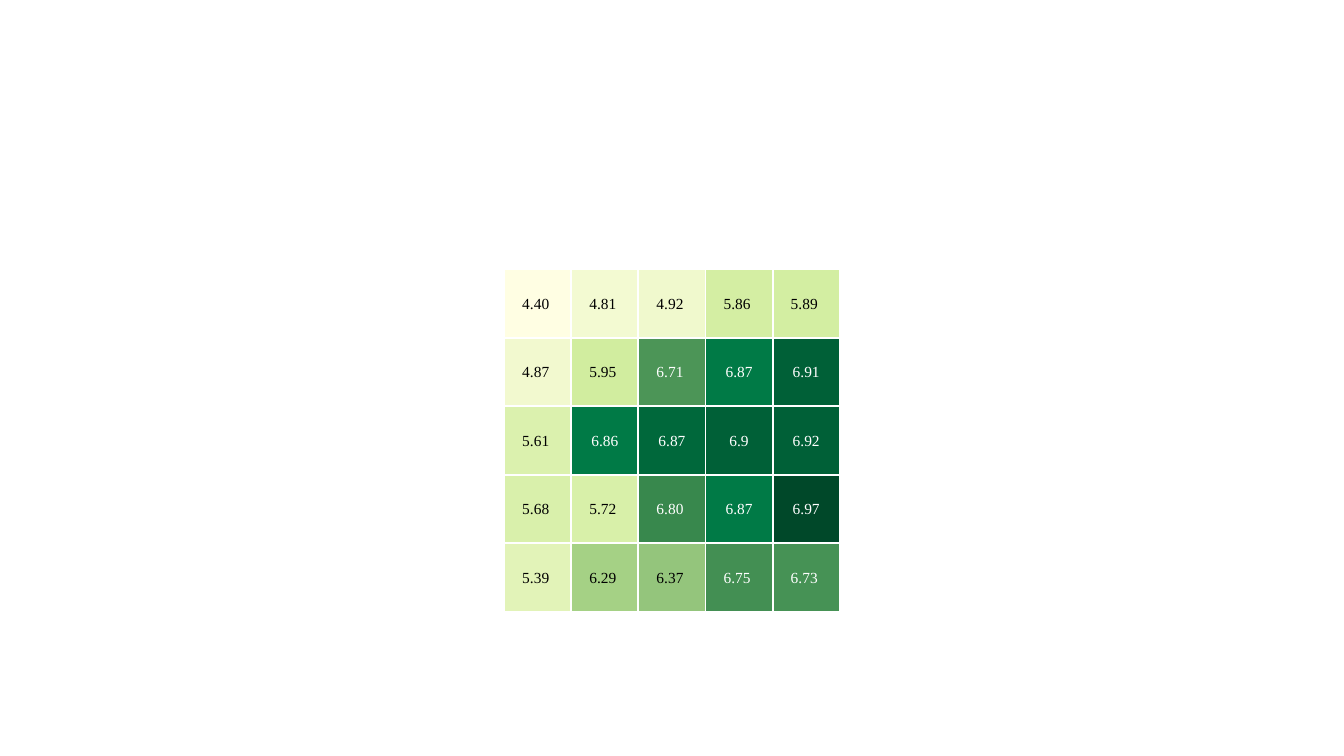
import lxml.etree
import pptx
import pptx.dml.color
import pptx.enum.text
import pptx.oxml.ns
import pptx.util

Inches = pptx.util.Inches
BORDER_COLOR = "FFFFFF"
BORDER_WIDTH = pptx.util.Pt(1.5)
WHITE_TEXT_FROM = 6.5

# Label and fill of each heatmap cell, row by row
HEATMAP = [
    [("4.40 ", "FFFEE3"), ("4.81 ", "F3FAD2"), ("4.92 ", "F0F9CD"), ("5.86 ", "D4EEA3"), ("5.89 ", "D3EEA2")],
    [("4.87 ", "F2F9CF"), ("5.95 ", "D1ED9F"), ("6.71 ", "4C9557"), ("6.87", "007A46"), ("6.91", "006037")],
    [("5.61 ", "DBF1AE"), ("6.86", "007A46"), ("6.87", "00683B"), ("6.9", "006037"), ("6.92", "006037")],
    [("5.68 ", "D9F0AB"), ("5.72 ", "D8F0A9"), ("6.80 ", "38884D"), ("6.87", "007A46"), ("6.97", "004829")],
    [("5.39 ", "E2F3B8"), ("6.29 ", "A5D185"), ("6.37 ", "94C57C"), ("6.75 ", "438F53"), ("6.73 ", "469255")],
]


def rgb(hex_color):
    return pptx.dml.color.RGBColor.from_string(hex_color)


def add_borders(cell):
    properties = cell._tc.get_or_add_tcPr()
    qn = pptx.oxml.ns.qn
    for side in ("lnL", "lnR", "lnT", "lnB"):
        line = lxml.etree.SubElement(properties, qn("a:" + side), w=str(BORDER_WIDTH))
        fill = lxml.etree.SubElement(line, qn("a:solidFill"))
        lxml.etree.SubElement(fill, qn("a:srgbClr"), val=BORDER_COLOR)


def fill_cell(cell, label, color):
    # Borders come before the fill in the cell properties
    add_borders(cell)
    cell.fill.solid()
    cell.fill.fore_color.rgb = rgb(color)
    cell.margin_left = cell.margin_right = cell.margin_top = Inches(0.01)
    cell.margin_bottom = 0
    cell.vertical_anchor = pptx.enum.text.MSO_ANCHOR.MIDDLE

    # Value, in white on the dark greens
    cell.text = label
    paragraph = cell.text_frame.paragraphs[0]
    paragraph.alignment = pptx.enum.text.PP_ALIGN.CENTER
    paragraph.font.name = "Times New Roman"
    paragraph.font.size = pptx.util.Pt(11)
    paragraph.font.color.rgb = rgb("FFFFFF" if float(label) > WHITE_TEXT_FROM else "000000")


def add_heatmap(slide, left, top, width, height):
    frame = slide.shapes.add_table(len(HEATMAP), len(HEATMAP[0]), left, top, width, height)
    heatmap = frame.table
    heatmap.first_row = heatmap.horz_banding = False
    for row, values in enumerate(HEATMAP):
        for column, (label, color) in enumerate(values):
            fill_cell(heatmap.cell(row, column), label, color)


def main():
    presentation = pptx.Presentation()
    presentation.slide_width = Inches(13.33)
    presentation.slide_height = Inches(7.5)
    slide = presentation.slides.add_slide(presentation.slide_layouts[6])
    add_heatmap(slide, Inches(5), Inches(2.67), Inches(3.33), Inches(3.4))
    presentation.save("out.pptx")


if __name__ == "__main__":
    main()
